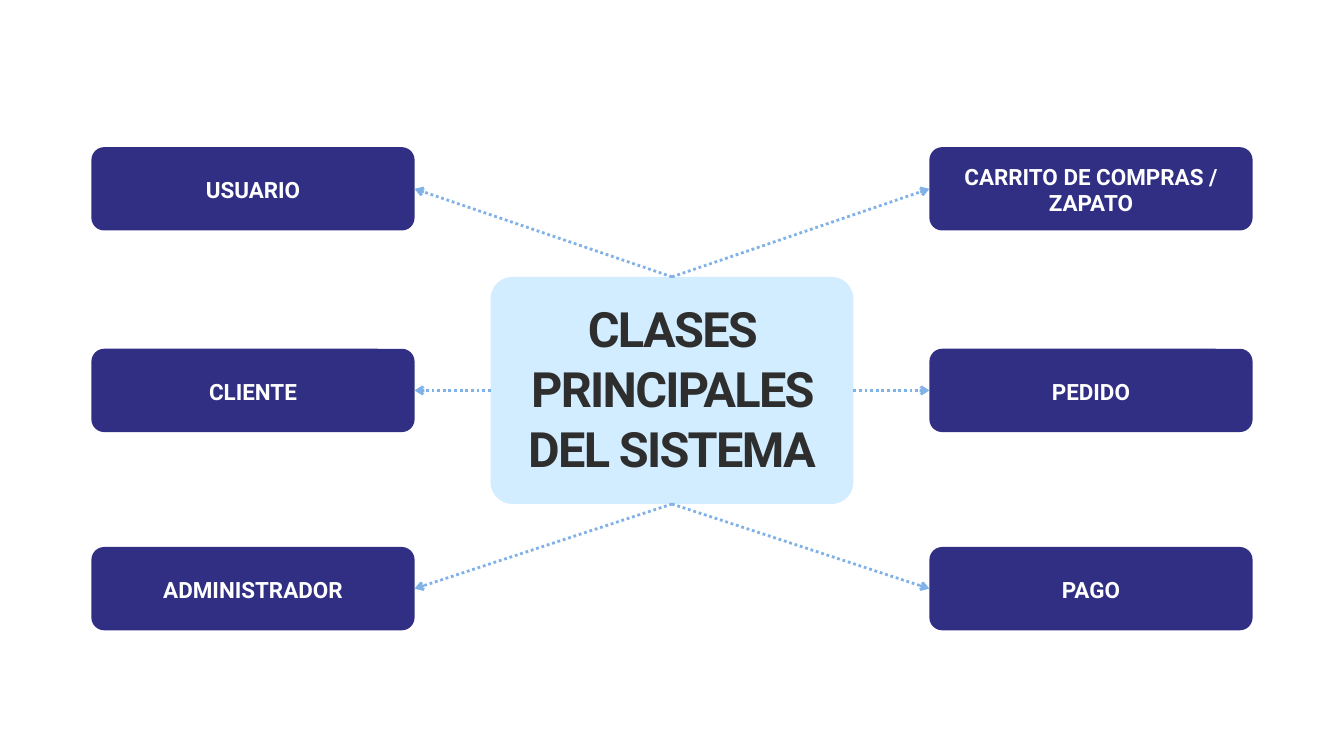
"""Builds a slide with the main classes of the system around a central hub."""
from lxml import etree
from pptx import Presentation
from pptx.dml.color import RGBColor
from pptx.enum.dml import MSO_LINE
from pptx.enum.shapes import MSO_CONNECTOR, MSO_SHAPE
from pptx.enum.text import MSO_ANCHOR, PP_ALIGN
from pptx.oxml.ns import qn
from pptx.util import Pt

ROUNDED = MSO_SHAPE.ROUNDED_RECTANGLE
STRAIGHT = MSO_CONNECTOR.STRAIGHT
DOTTED = MSO_LINE.ROUND_DOT
CENTER = PP_ALIGN.CENTER
TOP, MIDDLE = MSO_ANCHOR.TOP, MSO_ANCHOR.MIDDLE

EMU_PER_PX = 9144
FONT = "Roboto"
NAVY = RGBColor(0x31, 0x2F, 0x84)
PALE_BLUE = RGBColor(0xD2, 0xED, 0xFF)
SKY_BLUE = RGBColor(0x80, 0xB2, 0xE8)
WHITE = RGBColor(0xFF, 0xFF, 0xFF)
CHARCOAL = RGBColor(0x2E, 0x2E, 0x2E)

SLIDE_WIDTH, SLIDE_HEIGHT = 2000, 1125
CARD_WIDTH, CARD_HEIGHT = 481, 124
CARD_LEFTS = (136, 1383)
HUB_LEFT, HUB_TOP, HUB_WIDTH, HUB_HEIGHT = 730, 412, 540, 338
ROWS = (
    (219, ("USUARIO", "CARRITO DE COMPRAS / ZAPATO")),
    (519, ("CLIENTE", "PEDIDO")),
    (814, ("ADMINISTRADOR", "PAGO")),
)


def px(length):
    """Turn a length in px into EMU."""
    return length * EMU_PER_PX


def add_box(slide, left, top, width, height, radius, color):
    """Add a filled rounded box without outline."""
    box = slide.shapes.add_shape(ROUNDED, px(left), px(top), px(width), px(height))
    box.adjustments[0] = radius / height
    box.shadow.inherit = False
    box.fill.solid()
    box.fill.fore_color.rgb = color
    box.line.fill.background()
    return box


def write_text(shape, text, *, size, color, leading, margins, anchor=MIDDLE, tracking=0):
    """Write one centred bold paragraph into a shape."""
    frame = shape.text_frame
    frame.word_wrap = True
    frame.vertical_anchor = anchor
    left, top, right, bottom = map(px, margins)
    frame.margin_left, frame.margin_top = left, top
    frame.margin_right, frame.margin_bottom = right, bottom
    paragraph = frame.paragraphs[0]
    paragraph.alignment = CENTER
    paragraph.line_spacing = Pt(leading)
    run = paragraph.add_run()
    run.text = text
    run.font.name = FONT
    run.font.size = Pt(size)
    run.font.bold = True
    run.font.color.rgb = color
    if tracking:
        run._r.get_or_add_rPr().set("spc", str(round(tracking * 100)))


def add_arrow(slide, start, end):
    """Add a dotted arrow from start to end."""
    arrow = slide.shapes.add_connector(STRAIGHT, *map(px, start + end))
    arrow.line.color.rgb = SKY_BLUE
    arrow.line.width = Pt(3)
    arrow.line.dash_style = DOTTED
    etree.SubElement(arrow.line._get_or_add_ln(), qn("a:tailEnd"), type="arrow")
    etree.SubElement(arrow._element.spPr, qn("a:effectLst"))


def add_card(slide, left, top, label):
    """Add a class card with its label."""
    card = add_box(slide, left, top, CARD_WIDTH, CARD_HEIGHT, 19, NAVY)
    write_text(card, label, size=24, color=WHITE, leading=27.8, margins=(0, 4, 0, 0))


def add_hub(slide):
    """Add the central box with the slide title."""
    hub = add_box(slide, HUB_LEFT, HUB_TOP, HUB_WIDTH, HUB_HEIGHT, 33, PALE_BLUE)
    write_text(hub, "CLASES PRINCIPALES DEL SISTEMA", size=52.1, color=CHARCOAL,
               leading=64.6, margins=(20, 20, 20, 20), anchor=TOP, tracking=-1.8)


def hub_anchors():
    """Return the left and right arrow starts for each row of cards."""
    center = HUB_LEFT + HUB_WIDTH // 2
    middle = HUB_TOP + HUB_HEIGHT // 2
    above = (center, HUB_TOP)
    below = (center, HUB_TOP + HUB_HEIGHT)
    sides = ((HUB_LEFT, middle), (HUB_LEFT + HUB_WIDTH, middle))
    return (above, above), sides, (below, below)


def main():
    """Build and save the slide."""
    presentation = Presentation()
    presentation.slide_width = px(SLIDE_WIDTH)
    presentation.slide_height = px(SLIDE_HEIGHT)
    slide = presentation.slides.add_slide(presentation.slide_layouts[6])
    for top, labels in ROWS:
        for left, label in zip(CARD_LEFTS, labels):
            add_card(slide, left, top, label)
    add_hub(slide)
    card_edges = (CARD_LEFTS[0] + CARD_WIDTH, CARD_LEFTS[1])
    for (top, _), starts in zip(ROWS, hub_anchors()):
        for start, edge in zip(starts, card_edges):
            add_arrow(slide, start, (edge, top + CARD_HEIGHT // 2))
    presentation.save("out.pptx")


if __name__ == "__main__":
    main()
